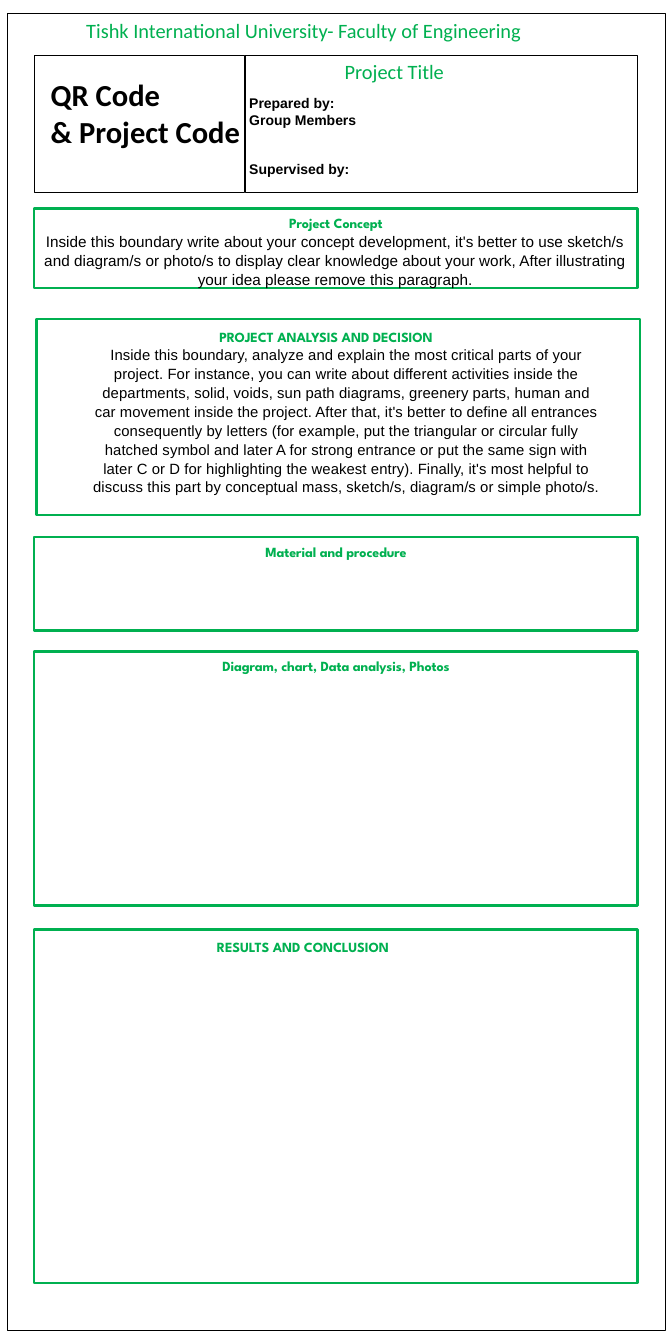
"""Build a tall project poster template with framed sections."""
import pptx
import pptx.dml.color
import pptx.enum.shapes
import pptx.enum.text
import pptx.util
from pptx.util import Inches

GREEN, BLACK = "00B050", "000000"
CENTER, LEFT = pptx.enum.text.PP_ALIGN.CENTER, pptx.enum.text.PP_ALIGN.LEFT


def color(value):
    """Turn a hex string into a colour."""
    return pptx.dml.color.RGBColor.from_string(value)


def write(para, text, font, size, ink, bold=False, align=LEFT, margins=(0, 0), tracking=0):
    """Fill and format one paragraph; tracking is in hundredths of a point."""
    para.text = text
    para.alignment = align
    properties = para._p.get_or_add_pPr()
    properties.set("marL", str(Inches(margins[0])))
    properties.set("marR", str(Inches(margins[1])))
    para.font.name, para.font.size, para.font.bold = font, pptx.util.Pt(size), bold
    para.font.color.rgb = color(ink)
    for span in para.runs:
        span._r.get_or_add_rPr().set("spc", str(tracking))


deck = pptx.Presentation()
deck.slide_width, deck.slide_height = Inches(11), Inches(21.99)
page = deck.slides.add_slide(deck.slide_layouts[5])

concept = (
    "Inside this boundary write about your concept development, it's better to use "
    "sketch/s and diagram/s or photo/s to display clear knowledge about your work, "
    "After illustrating your idea please remove this paragraph."
)
analysis = (
    "Inside this boundary, analyze and explain the most critical parts of your project. "
    "For instance, you can write about different activities inside the departments, solid, "
    "voids, sun path diagrams, greenery parts, human and car movement inside the project. "
    "After that, it's better to define all entrances consequently by letters (for example, "
    "put the triangular or circular fully hatched symbol and later A for strong entrance or "
    "put the same sign with later C or D for highlighting the weakest entry). Finally, it's "
    "most helpful to discuss this part by conceptual mass, sketch/s, diagram/s or simple "
    "photo/s."
)

outlines = [
    (0.11, 0.22, 10.77, 21.55),
    (0.56, 0.9, 3.43, 2.25),
    (4.02, 0.9, 6.41, 2.25),
]
sections = [
    (0.56, 3.41, 1.3, "Project Concept", CENTER),
    (0.6, 5.22, 3.21, "PROJECT ANALYSIS AND DECISION", LEFT),
    (0.56, 8.79, 1.53, "Material and procedure", CENTER),
    (0.56, 10.66, 4.16, "Diagram, chart, Data analysis, Photos", CENTER),
    (0.56, 15.21, 5.78, "RESULTS AND CONCLUSION", LEFT),
]
bodies = {
    "Project Concept": (concept, 18, 1.04, (0.15, 0.17), 5),
    "PROJECT ANALYSIS AND DECISION": (analysis, 17.5, 1.06, (0.92, 0.65), 10),
}

frames = [(place, BLACK, 0.25) for place in outlines]
frames += [((left, top, 9.88, height), GREEN, 3) for left, top, height, *_ in sections]
boxes = []
for place, ink, weight in frames:
    box = page.shapes.add_shape(
        pptx.enum.shapes.MSO_SHAPE.RECTANGLE, *[Inches(length) for length in place]
    )
    box.shadow.inherit = False
    box.fill.background()
    box.line.color.rgb = color(ink)
    box.line.width = pptx.util.Pt(weight)
    boxes.append(box)

for box, (left, top, height, heading, align) in zip(boxes[len(outlines):], sections):
    frame = box.text_frame
    frame.word_wrap = True
    frame.vertical_anchor = pptx.enum.text.MSO_ANCHOR.TOP
    frame.margin_left = frame.margin_right = frame.margin_bottom = 0
    frame.margin_top = Inches(0.1 if align == CENTER else 0.15)
    indent = 0 if align == CENTER else 2.99
    write(frame.paragraphs[0], heading, "League Spartan", 16.5, GREEN, True, align, (indent, 0), -10)
    if heading in bodies:
        text, size, spacing, margins, tracking = bodies[heading]
        para = frame.add_paragraph()
        write(para, text, "Arial", size, BLACK, False, CENTER, margins, tracking)
        para.line_spacing = spacing

title = page.shapes.title
title.left, title.top, title.width, title.height = [Inches(n) for n in (0.83, 0.29, 8.28, 0.42)]
labels = [
    (title, "Tishk International University- Faculty of Engineering", "Calibri", 24, GREEN, False, CENTER),
]
for place, *style in [
    ((3.99, 0.96, 4.93, 0.42), "Project Title", "Calibri", 24, GREEN, False, CENTER),
    ((4.08, 1.54, 2.42, 0.57), "Prepared by:\vGroup Members", "Arial", 16.5, BLACK, True, LEFT),
    ((4.08, 2.62, 5.69, 0.3), "Supervised by:", "Arial", 16.5, BLACK, True, LEFT),
    ((0.83, 1.24, 4.05, 1.26), "QR Code\v& Project Code", "Calibri", 36, BLACK, True, LEFT),
]:
    labels.append((page.shapes.add_textbox(*[Inches(length) for length in place]), *style))

for box, *style in labels:
    frame = box.text_frame
    frame.word_wrap = True
    frame.auto_size = pptx.enum.text.MSO_AUTO_SIZE.NONE
    frame.vertical_anchor = pptx.enum.text.MSO_ANCHOR.TOP
    frame.margin_left = frame.margin_right = frame.margin_bottom = 0
    frame.margin_top = Inches(0.01)
    write(frame.paragraphs[0], *style)

deck.save("out.pptx")
